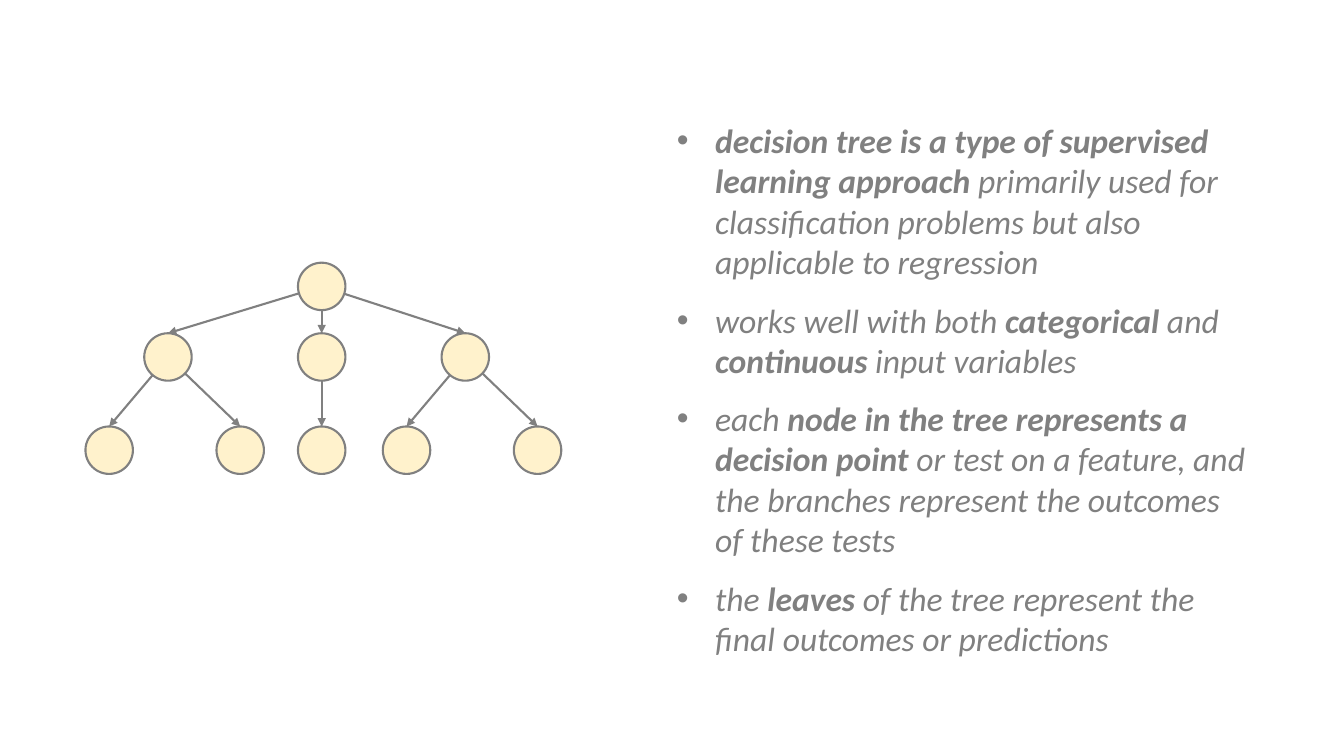
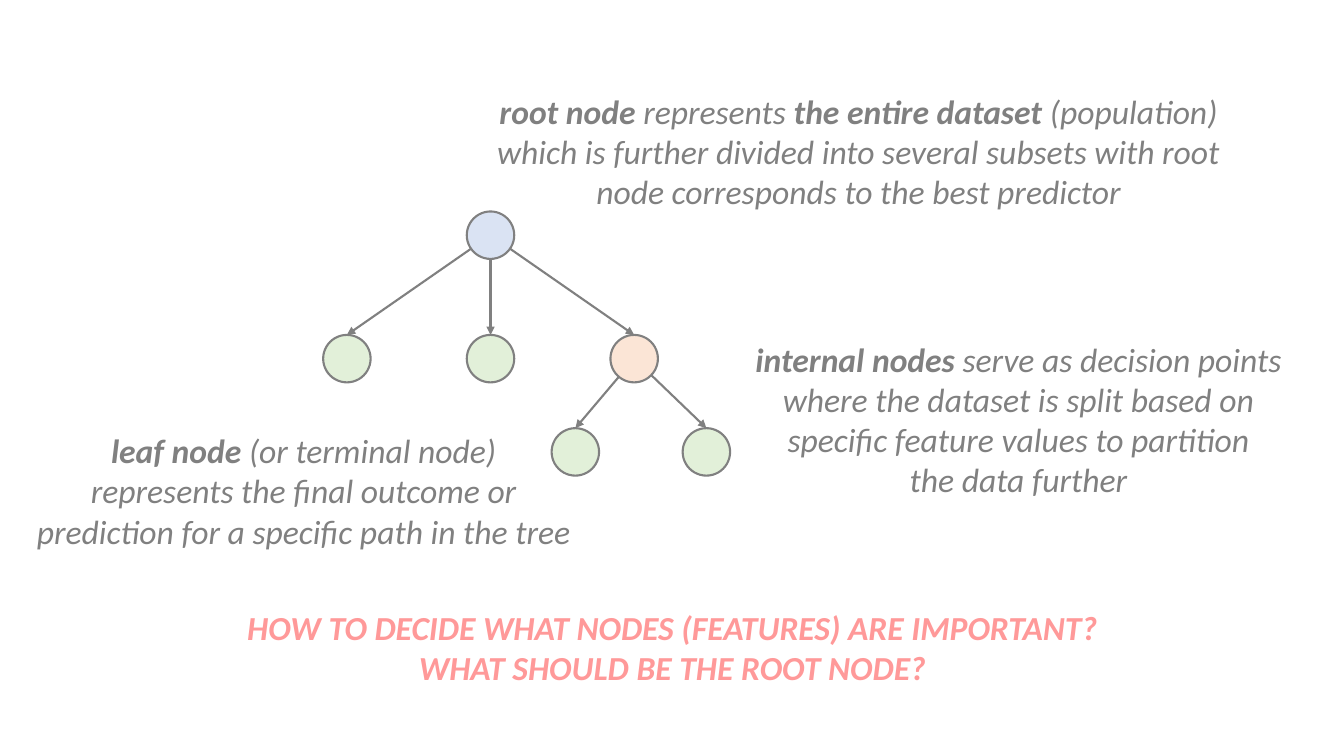
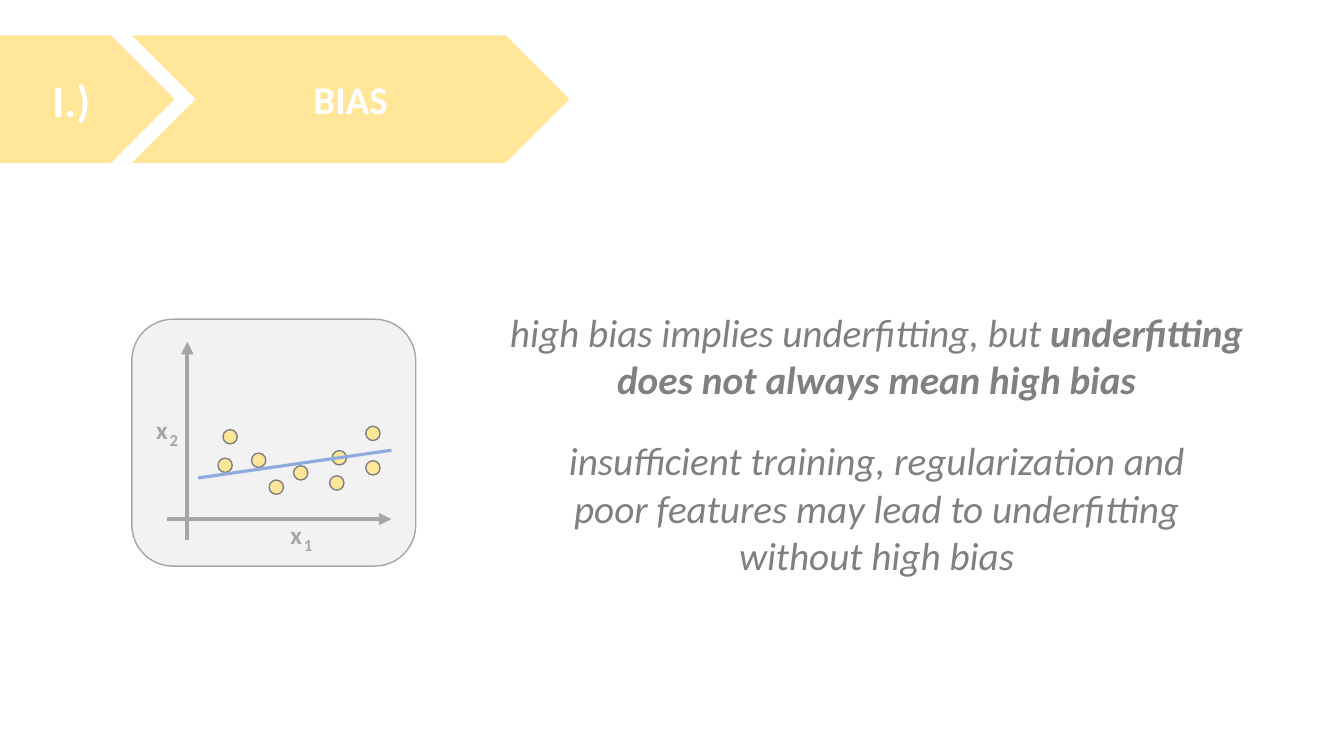
import pptx
import pptx.dml.color
import pptx.enum.shapes
import pptx.enum.text
import pptx.oxml.ns
import pptx.oxml.xmlchemy
import pptx.util

KIND = pptx.enum.shapes.MSO_SHAPE
ALIGN = pptx.enum.text.PP_ALIGN
RGB = pptx.dml.color.RGBColor.from_string
COLUMNS, ROWS = 160, 90


class Theme:
    font = "Calibri"
    gray, axis, panel, white = "808080", "A6A6A6", "F2F2F2", "FFFFFF"
    cream, yellow, red, blue = "FFF2CC", "FFE699", "FF9999", "8FAADC"
    root, internal, leaf = "DAE3F3", "FBE5D6", "E2F0D9"
    styles = {
        "bullet": {"size": 24, "color": gray, "italic": True, "align": ALIGN.LEFT, "wrap": True},
        "note": {"size": 24, "color": gray, "italic": True, "align": ALIGN.CENTER, "wrap": False},
        "question": {"size": 24, "color": red, "italic": True, "align": ALIGN.CENTER, "wrap": False},
        "statement": {"size": 28, "color": gray, "italic": True, "align": ALIGN.CENTER, "wrap": True},
        "number": {"size": 32, "color": white, "italic": False, "align": ALIGN.CENTER, "wrap": True},
        "title": {"size": 28, "color": white, "italic": False, "align": ALIGN.CENTER, "wrap": True},
        "axis": {"size": 18, "color": axis, "italic": False, "align": ALIGN.LEFT, "wrap": False},
        "index": {"size": 12, "color": axis, "italic": False, "align": ALIGN.LEFT, "wrap": False},
    }


deck = pptx.Presentation()
deck.slide_width = pptx.util.Inches(13.333)
deck.slide_height = pptx.util.Inches(7.5)
cell = deck.slide_height / ROWS
deck.slide_width = round(cell * COLUMNS)


def add_shape(page, kind, at, fill, line=None, weight=1):
    """Add a preset shape; at is left, top, width and height in grid cells."""
    shape = page.shapes.add_shape(kind, *[round(cell * length) for length in at])
    shape.shadow.inherit = False
    shape.fill.solid()
    shape.fill.fore_color.rgb = RGB(fill)
    if line:
        shape.line.color.rgb = RGB(line)
        shape.line.width = pptx.util.Pt(weight)
    else:
        shape.line.fill.background()
    return shape


def add_line(page, start, end, color, weight, arrow=True):
    """Add a straight connector between two grid points."""
    ends = [round(cell * length) for length in (*start, *end)]
    link = page.shapes.add_connector(pptx.enum.shapes.MSO_CONNECTOR.STRAIGHT, *ends)
    link.line.color.rgb = RGB(color)
    link.line.width = pptx.util.Pt(weight)
    properties = link._element.spPr
    if arrow:
        outline = properties.find(pptx.oxml.ns.qn("a:ln"))
        head = pptx.oxml.xmlchemy.OxmlElement("a:tailEnd")
        head.set("type", "triangle")
        outline.append(head)
    properties.append(pptx.oxml.xmlchemy.OxmlElement("a:effectLst"))


overview, node_types, bias = [deck.slides.add_slide(deck.slide_layouts[6]) for _ in range(3)]

# Trees: each node is centre x, centre y, fill and the index of its parent
node_size = 5.65
left_branch, right_branch = -7, 8.6
overview_tree = [(38.3, 34.1, Theme.cream, None)]
overview_tree += [(x, 42.5, Theme.cream, 0) for x in (20, 38.3, 55.4)]
for parent, offsets in ((1, (left_branch, right_branch)), (2, (0,)), (3, (left_branch, right_branch))):
    for offset in offsets:
        overview_tree.append((overview_tree[parent][0] + offset, 53.6, Theme.cream, parent))

types_tree = [
    (58.4, 28, Theme.root, None),
    (41.3, 42.7, Theme.leaf, 0),
    (58.4, 42.7, Theme.leaf, 0),
    (75.5, 42.7, Theme.internal, 0),
    (75.5 + left_branch, 53.8, Theme.leaf, 3),
    (75.5 + right_branch, 53.8, Theme.leaf, 3),
]

for page, tree in ((overview, overview_tree), (node_types, types_tree)):
    for x, y, fill, parent in tree:
        if parent is not None:
            add_line(page, tree[parent][:2], (x, y - node_size / 2), Theme.gray, 1.5)
    for x, y, fill, parent in tree:
        at = (x - node_size / 2, y - node_size / 2, node_size, node_size)
        add_shape(page, KIND.OVAL, at, fill, Theme.gray, 1.5)

# Scatter sketch with a straight fit
add_shape(bias, KIND.ROUNDED_RECTANGLE, (15.7, 38, 33.8, 29.4), Theme.panel, Theme.axis)
add_line(bias, (22.3, 64.3), (22.3, 40.7), Theme.axis, 3)
add_line(bias, (19.9, 61.8), (46.6, 61.8), Theme.axis, 3)
dot_size = 1.7
dots = [(27.4, 52), (30.8, 54.8), (40.4, 54.5), (32.9, 58), (35.8, 56.3),
        (40.1, 57.5), (44.4, 51.6), (26.8, 55.4), (44.4, 55.7)]
for x, y in dots:
    at = (x - dot_size / 2, y - dot_size / 2, dot_size, dot_size)
    add_shape(bias, KIND.OVAL, at, Theme.yellow, Theme.gray)
add_line(bias, (23.6, 56.9), (46.6, 53.6), Theme.blue, 2.25, arrow=False)

# Texts: page, shape kind (None for a text box), place, style, paragraphs; ** marks bold
texts = [
    (node_types, None, (57.4, 10.2, 89.6, 15.7), "note", [
        "**root node** represents **the entire dataset** (population)",
        "which is further divided into several subsets with root",
        "node corresponds to the best predictor"]),
    (node_types, None, (2.8, 50.6, 66.7, 15.7), "note", [
        "**leaf node** (or terminal node)",
        "represents the final outcome or",
        "prediction for a specific path in the tree"]),
    (node_types, None, (87.9, 39.7, 66.7, 20.6), "note", [
        "**internal nodes** serve as decision points",
        "where the dataset is split based on",
        "specific feature values to partition",
        "the data further"]),
    (node_types, None, (27.6, 71.6, 104.9, 10.9), "question", [
        "**HOW TO DECIDE WHAT NODES (FEATURES) ARE IMPORTANT?**",
        "**WHAT SHOULD BE THE ROOT NODE?**"]),
    (bias, KIND.CHEVRON, (15.7, 4.2, 52.1, 15.2), "title", ["**BIAS**"]),
    (bias, KIND.PENTAGON, (0, 4.2, 20.8, 15.2), "number", ["**I.)**"]),
    (bias, None, (58.7, 36.1, 91.3, 12.5), "statement", [
        "high bias implies underfitting, but **underfitting does not always mean high bias**"]),
    (bias, None, (62.4, 51.4, 83.9, 18.1), "statement", [
        "insufficient training, regularization and poor features may lead to "
        "underfitting without high bias"]),
]
for x, y, index in ((33.4, 61.2, "1"), (17.4, 48.7, "2")):
    texts.append((bias, None, (x, y, 3.8, 4.8), "axis", ["**x**"]))
    texts.append((bias, None, (x + 1.6, y + 1.9, 3.5, 3.6), "index", [f"**{index}**"]))

bullet_top, bullet_gap = 13.7, 0.8
for width, height, words in (
    (69, 20.6, "**decision tree is a type of supervised learning approach **primarily used for "
               "classification problems but also applicable to regression"),
    (68, 10.9, "works well with both **categorical** and **continuous** input variables"),
    (70.4, 20.6, "each **node in the tree represents a decision point **or test on a feature, "
                 "and the branches represent the outcomes of these tests"),
    (68, 10.9, "the **leaves** of the tree represent the final outcomes or predictions"),
):
    texts.append((overview, None, (79.4, bullet_top, width, height), "bullet", [words]))
    bullet_top += height + bullet_gap

for page, kind, at, style_name, lines in texts:
    style = Theme.styles[style_name]
    if kind is None:
        box = page.shapes.add_textbox(*[round(cell * length) for length in at])
    else:
        box = add_shape(page, kind, at, Theme.yellow)
    frame = box.text_frame
    frame.word_wrap = style["wrap"]
    for number, words in enumerate(lines):
        para = frame.add_paragraph() if number else frame.paragraphs[0]
        para.alignment = style["align"]
        if style_name == "bullet":
            properties = para._p.get_or_add_pPr()
            indent = pptx.util.Inches(0.38)
            properties.set("marL", str(indent))
            properties.set("indent", str(-indent))
            for tag, key, value in (("a:buFont", "typeface", "Arial"), ("a:buChar", "char", "•")):
                mark = pptx.oxml.xmlchemy.OxmlElement(tag)
                mark.set(key, value)
                properties.append(mark)
        for part, piece in enumerate(words.split("**")):
            if not piece:
                continue
            span = para.add_run()
            span.text = piece
            span.font.color.rgb = RGB(style["color"])
            formats = {"name": Theme.font, "size": pptx.util.Pt(style["size"]),
                       "bold": part % 2 == 1, "italic": style["italic"]}
            for name, value in formats.items():
                setattr(span.font, name, value)

deck.save("out.pptx")
